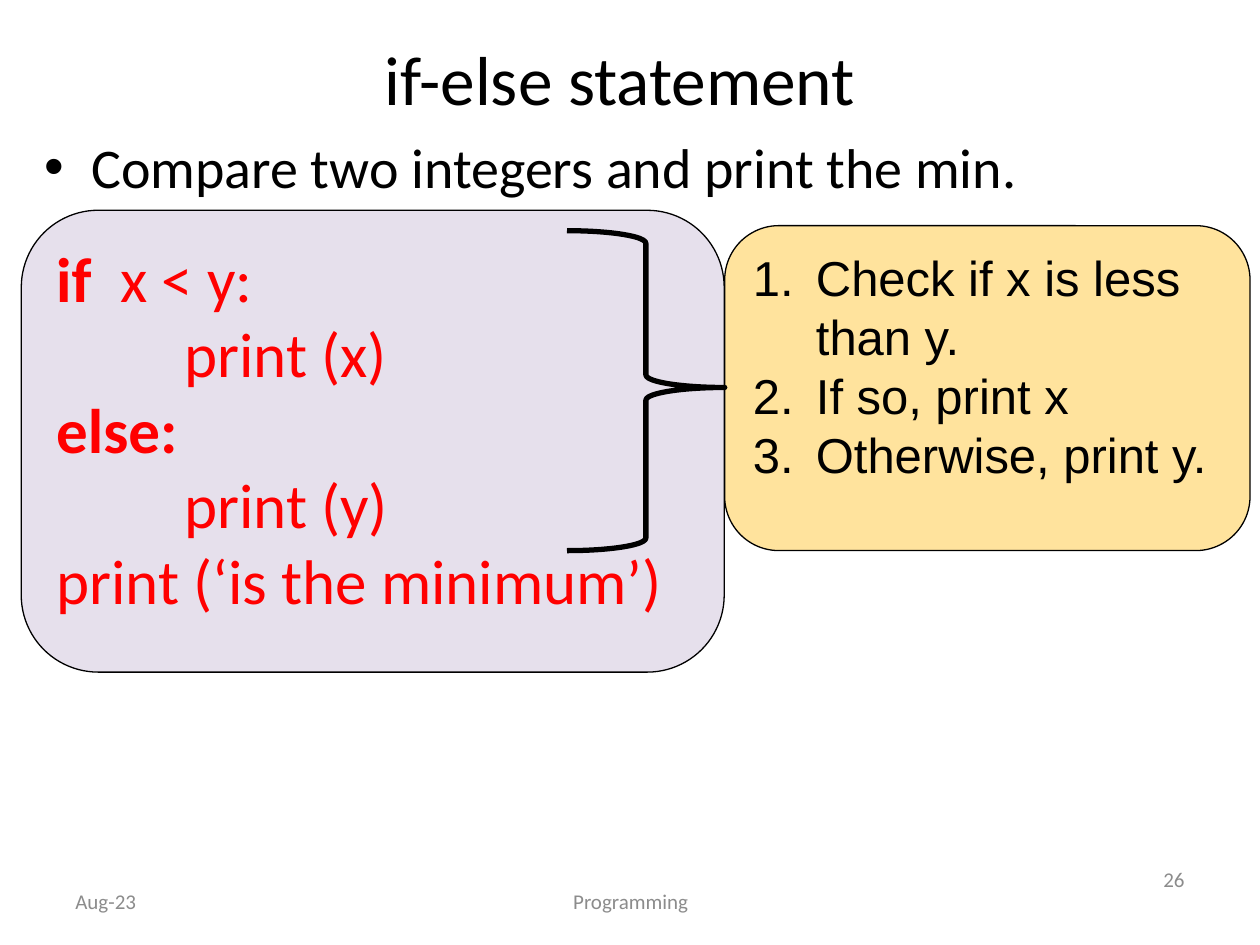
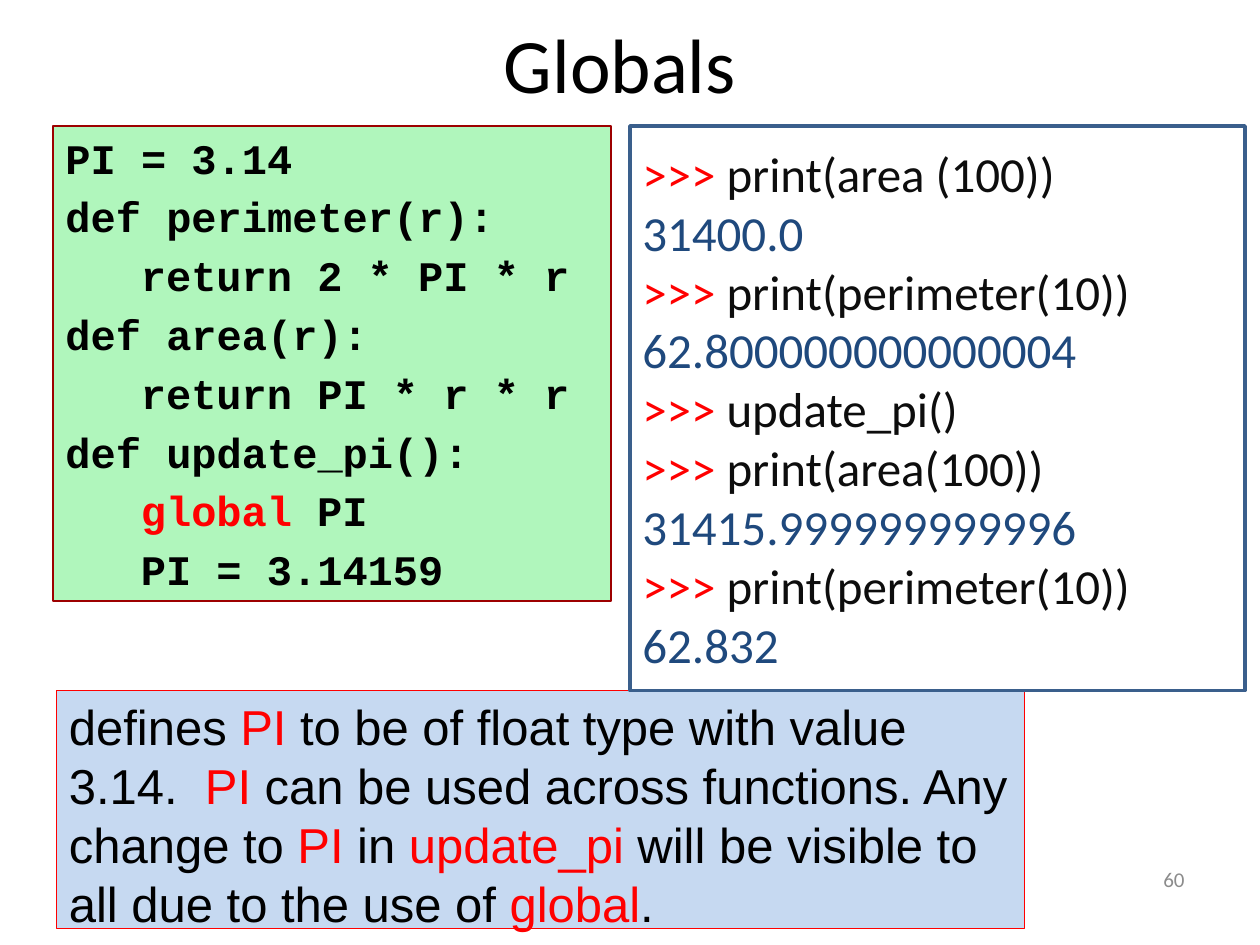
from lxml import etree
from pptx import Presentation
from pptx import util as u
from pptx.dml.color import RGBColor
from pptx.enum import shapes, text
from pptx.oxml import ns

BLACK = RGBColor(0x00, 0x00, 0x00)
RED = RGBColor(0xFF, 0x00, 0x00)
GREY = RGBColor(0x8C, 0x8C, 0x8C)
LILAC = RGBColor(0xE6, 0xE0, 0xEC)
YELLOW = RGBColor(0xFF, 0xE3, 0x9D)
GREEN = RGBColor(0xB0, 0xF6, 0xBC)
DARK_RED = RGBColor(0x9D, 0x00, 0x00)
PALE_BLUE = RGBColor(0xC6, 0xD9, 0xF1)
WHITE = RGBColor(0xFF, 0xFF, 0xFF)
STEEL = RGBColor(0x3A, 0x5F, 0x8C)
INPUT = RGBColor(0x0D, 0x0D, 0x0D)
OUTPUT = RGBColor(0x1F, 0x49, 0x7D)

KIND = shapes.MSO_SHAPE
ALIGN = text.PP_ALIGN
TOP, MIDDLE = text.MSO_ANCHOR.TOP, text.MSO_ANCHOR.MIDDLE


def add_box(s, at, kind=None, fill=None, line=None, width=0.75, anchor=TOP):
    """Add a text box, or a filled and outlined shape if a kind is given."""
    at = [u.Cm(v) for v in at]
    if kind is None:
        sp = s.shapes.add_textbox(*at)
    else:
        sp = s.shapes.add_shape(kind, *at)
        sp.shadow.inherit = False
        sp.fill.solid()
        sp.fill.fore_color.rgb = fill
        sp.line.color.rgb = line
        sp.line.width = u.Pt(width)
    sp.text_frame.word_wrap = True
    sp.text_frame.vertical_anchor = anchor
    return sp


def write(sp, lines, size, font="Calibri", colours=(BLACK, RED), bold=(False, False),
          align=ALIGN.LEFT, before=0, tab=0, hang=0, bullet=None):
    """Fill a shape; | switches between base and accent style, a leading tab indents."""
    tf = sp.text_frame
    for i, line in enumerate(lines):
        p = tf.paragraphs[0] if i == 0 else tf.add_paragraph()
        p.alignment = align
        p.space_before = u.Pt(before)
        pPr = p._p.get_or_add_pPr()
        if line.startswith("\t"):
            pPr.set("marL", str(u.Cm(tab)))
        if bullet:
            pPr.set("marL", str(u.Cm(hang)))
            pPr.set("indent", str(-u.Cm(hang)))
            tag, key, value = bullet
            etree.SubElement(pPr, ns.qn("a:buFont")).set("typeface", "Arial")
            etree.SubElement(pPr, ns.qn(tag)).set(key, value)
        for j, piece in enumerate(line.lstrip("\t").split("|")):
            if piece:
                r = p.add_run()
                r.text = piece
                r.font.name = font
                r.font.size = u.Pt(size)
                r.font.bold = bold[j % 2]
                r.font.color.rgb = colours[j % 2]


prs = Presentation()
prs.slide_width, prs.slide_height = u.Cm(25.4), u.Cm(19.05)

# Shared parts: title and slide number
pages = [
    ("if-else statement", (1.7, 0.84, 21.59, 1.47), 39.6, "26"),
    ("Globals", (1.07, 0, 22.86, 2.54), 44, "60"),
]
for title, at, size, number in pages:
    s = prs.slides.add_slide(prs.slide_layouts[6])
    write(add_box(s, at, anchor=MIDDLE), [title], size, align=ALIGN.CENTER)
    write(add_box(s, (18.21, 17.22, 5.92, 1.02), anchor=MIDDLE), [number], 12,
          colours=(GREY, GREY), align=ALIGN.RIGHT)
branching, scope = prs.slides

# Slide 1: task and footers
sp = add_box(branching, (0.64, 2.54, 24.56, 3.18))
write(sp, ["Compare two integers and print the min."], 32,
      hang=0.95, bullet=("a:buChar", "char", "•"))
for label, left, width, align in [("Aug-23", 1.27, 5.92, ALIGN.LEFT),
                                  ("Programming", 8.69, 8.05, ALIGN.CENTER)]:
    sp = add_box(branching, (left, 17.65, width, 1.02), anchor=MIDDLE)
    write(sp, [label], 12, colours=(GREY, GREY), align=align)

# Slide 1: numbered steps
sp = add_box(branching, (14.61, 4.55, 10.59, 6.55), KIND.ROUNDED_RECTANGLE, YELLOW, BLACK)
write(sp, ["Check if x is less than y.", "If so, print x", "Otherwise, print y."], 28,
      "Arial", hang=1.27, bullet=("a:buAutoNum", "type", "arabicPeriod"))

# Slide 1: code, with a brace pointing to the steps
sp = add_box(branching, (0.43, 4.24, 14.17, 9.31), KIND.ROUNDED_RECTANGLE, LILAC, BLACK)
write(sp, ["|if|  x < y:", "\tprint (x)", "|else:", "\tprint (y)", "print (‘is the minimum’)"],
      36, colours=(RED, RED), bold=(False, True), tab=2.58)
brace = add_box(branching, (11.43, 4.65, 3.18, 6.45), KIND.LEFT_BRACE, LILAC, BLACK, 3)
brace.rotation = 180
brace.adjustments[0], brace.adjustments[1] = 0.08, 0.51

# Slide 2: code
sp = add_box(scope, (1.07, 2.54, 11.25, 9.58), KIND.RECTANGLE, GREEN, DARK_RED)
write(sp, ["PI = 3.14",
           "def perimeter(r):", "\treturn 2 * PI * r",
           "def area(r):", "\treturn PI * r * r",
           "def update_pi():", "\t|global| PI", "\tPI = 3.14159"],
      24, "Courier New", bold=(True, True), before=4.8, tab=1.52)

# Slide 2: explanation
sp = add_box(scope, (1.14, 13.92, 19.51, 4.8), KIND.RECTANGLE, PALE_BLUE, RED)
write(sp, ["defines |PI| to be of float type with value 3.14.  |PI| can be used across "
           "functions. Any change to |PI| in |update_pi |will be visible to all due to "
           "the use of |global|."], 28, "Arial")

# Slide 2: interactive session, results in blue
session = [("print(area (100))", "31400.0"),
           ("print(perimeter(10))", "62.800000000000004"),
           ("update_pi()", None),
           ("print(area(100))", "31415.999999999996"),
           ("print(perimeter(10))", "62.832")]
lines = []
for call, result in session:
    lines.append("|>>> |" + call)
    if result:
        lines.append(result)
sp = add_box(scope, (12.7, 2.54, 12.4, 11.38), KIND.RECTANGLE, WHITE, STEEL, 2, MIDDLE)
write(sp, lines, 28, colours=(INPUT, RED))
for p in sp.text_frame.paragraphs:
    if not p.text.startswith(">>>"):
        p.runs[0].font.color.rgb = OUTPUT

prs.save("out.pptx")
